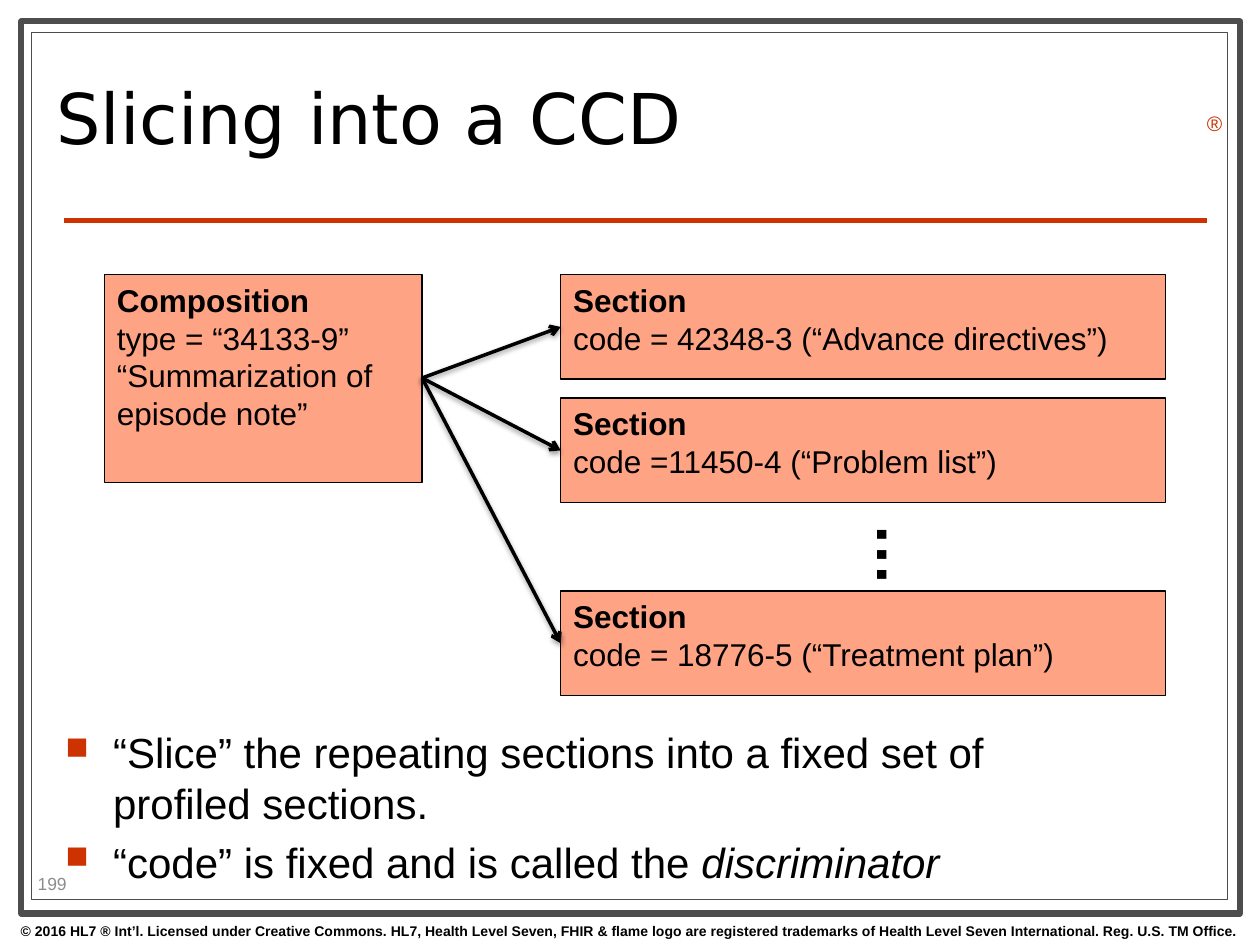
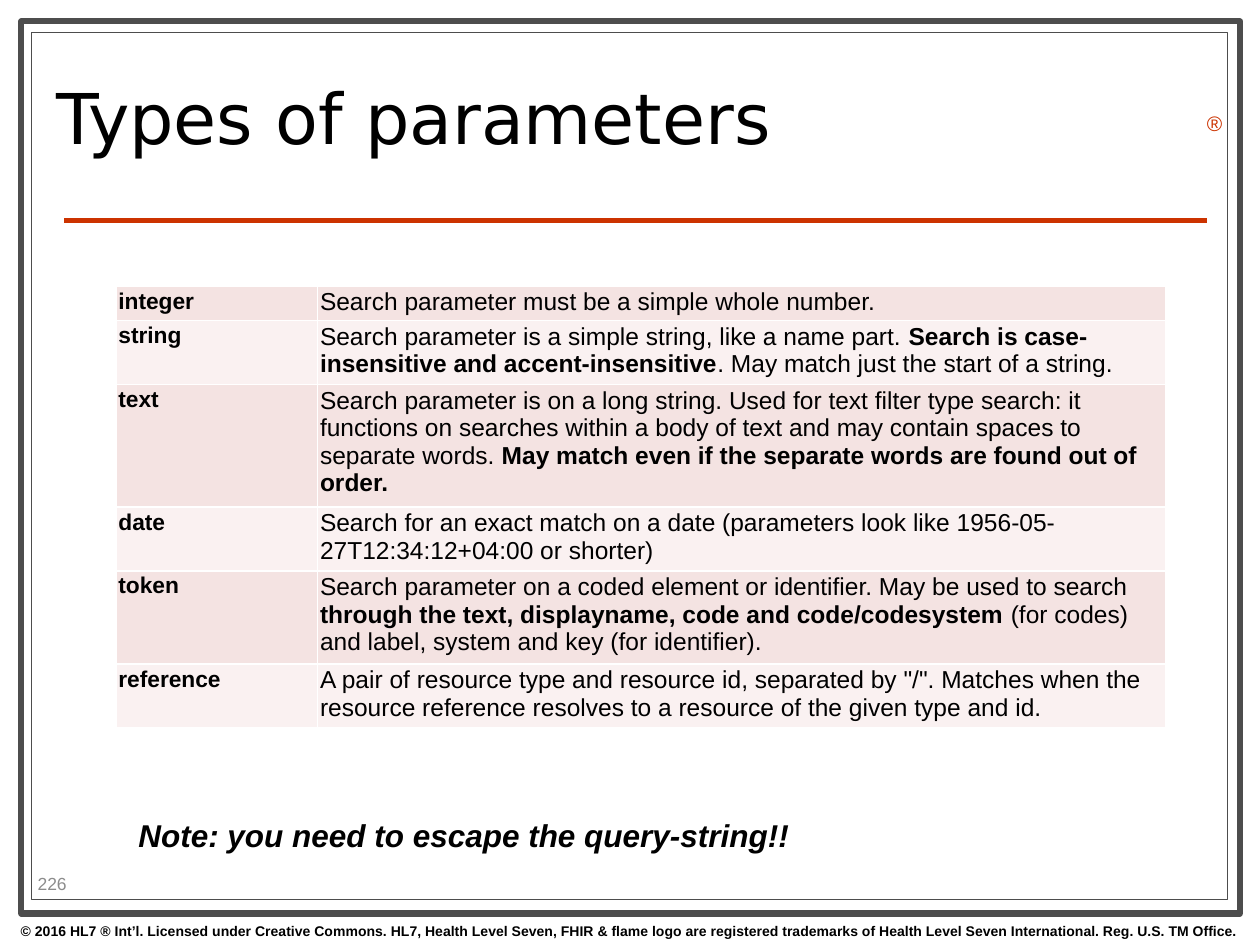
"""Builds two training slides: slicing a document and search parameter types."""
from lxml import etree
from pptx import Presentation
from pptx.dml.color import RGBColor
from pptx.enum.shapes import MSO_CONNECTOR as Connector, MSO_SHAPE as Shape
from pptx.enum.text import MSO_ANCHOR as Anchor, PP_ALIGN as Align
from pptx.oxml import parse_xml
from pptx.oxml.ns import nsdecls, qn
from pptx.util import Inches, Pt

COLOURS = {
    "paper": "FFFFFF", "ink": "000000", "frame": "4D4D4D", "accent": "CC3300",
    "number": "8C8C8C", "box": "FFA385", "band": "F4E3E2", "light_band": "FAF1F1",
}
COPYRIGHT = (
    "© 2016 HL7 ® Int’l. Licensed under Creative Commons. HL7, Health Level Seven, "
    "FHIR & flame logo are registered trademarks of Health Level Seven International. "
    "Reg. U.S. TM Office."
)
BOLD, ITALIC = {"bold": True}, {"italic": True}


def rgb(colour):
    return RGBColor.from_string(COLOURS[colour])


def apply(target, formats):
    for name, value in formats.items():
        setattr(target, name, value)


class Deck:
    """Holds the shared style and the slide being filled."""

    def __init__(self):
        self.presentation = Presentation()
        self.presentation.slide_width = Inches(10)
        self.presentation.slide_height = Inches(7.5)
        self.slide = None

    def start(self, title, number):
        self.slide = self.presentation.slides.add_slide(self.presentation.slide_layouts[6])
        self.box((0.17, 0.17, 9.67, 7.08), "paper", "frame", 3.5)
        self.box((0.25, 0.26, 9.49, 6.88), "paper", "frame", 0.75)
        self.line((0.51, 1.75), (9.58, 1.75), "accent", 3)
        self.text((0, 7.27, 10, 0.23), [COPYRIGHT], {"size": Pt(8), "bold": True},
                  paragraph={"alignment": Align.CENTER})
        self.text((9.48, 0.83, 0.31, 0.3), ["®"], {"size": Pt(12)}, "accent",
                  {"word_wrap": False})
        middle = {"vertical_anchor": Anchor.MIDDLE}
        self.text((0.35, 0.36, 7.17, 1.26), [title],
                  {"size": Pt(40), "name": "DejaVu Sans"}, frame=middle,
                  paragraph={"line_spacing": 0.8})
        self.text((0.2, 6.89, 0.79, 0.24), [str(number)], {"size": Pt(10)}, "number", middle)

    def fill_text(self, frame, paragraphs, font, colour="ink", paragraph=None):
        """Each paragraph is a string or a list of (text, emphasis) runs."""
        for index, content in enumerate(paragraphs):
            target = frame.paragraphs[0] if index == 0 else frame.add_paragraph()
            apply(target, paragraph or {})
            runs = [(content, {})] if isinstance(content, str) else content
            for words, emphasis in runs:
                run = target.add_run()
                run.text = words
                apply(run.font, {"name": "Arial", **font, **emphasis})
                run.font.color.rgb = rgb(colour)

    def text(self, place, paragraphs, font, colour="ink", frame=None, paragraph=None):
        holder = self.slide.shapes.add_textbox(*map(Inches, place)).text_frame
        apply(holder, {"word_wrap": True, **(frame or {})})
        self.fill_text(holder, paragraphs, font, colour, paragraph)
        return holder

    def box(self, place, fill, outline, width, paragraphs=()):
        shape = self.slide.shapes.add_shape(Shape.RECTANGLE, *map(Inches, place))
        shape.shadow.inherit = False
        shape.fill.solid()
        shape.fill.fore_color.rgb = rgb(fill)
        shape.line.color.rgb = rgb(outline)
        shape.line.width = Pt(width)
        apply(shape.text_frame, {"word_wrap": True, "vertical_anchor": Anchor.TOP})
        self.fill_text(shape.text_frame, paragraphs, {"size": Pt(18)},
                       paragraph={"alignment": Align.LEFT})

    def line(self, start, end, colour, width):
        connector = self.slide.shapes.add_connector(
            Connector.STRAIGHT, *map(Inches, (*start, *end)))
        connector.line.color.rgb = rgb(colour)
        connector.line.width = Pt(width)
        effects = etree.SubElement(connector._element.spPr, qn("a:effectLst"))
        return connector, effects

    def arrow(self, start, end):
        connector, effects = self.line(start, end, "ink", 2)
        etree.SubElement(connector.line._get_or_add_ln(), qn("a:tailEnd"), type="arrow")
        effects.append(parse_xml(
            f'<a:outerShdw {nsdecls("a")} blurRad="{Pt(3.1)}" dist="{Pt(1.6)}" '
            f'dir="5400000" rotWithShape="0"><a:srgbClr val="{COLOURS["ink"]}">'
            '<a:alpha val="38000"/></a:srgbClr></a:outerShdw>'))

    def bullets(self, place, paragraphs):
        holder = self.text(place, paragraphs, {"size": Pt(24)})
        for index, paragraph in enumerate(holder.paragraphs):
            properties = paragraph._p.get_or_add_pPr()
            properties.set("marL", str(Inches(0.38)))
            properties.set("indent", str(Inches(-0.38)))
            colour = etree.SubElement(properties, qn("a:buClr"))
            etree.SubElement(colour, qn("a:srgbClr"), val=COLOURS["accent"])
            etree.SubElement(properties, qn("a:buSzPct"), val="75000")
            etree.SubElement(properties, qn("a:buChar"), char="■")
            if index:
                paragraph.space_before = Pt(4.8)

    def table(self, place, widths, heights, rows):
        table = self.slide.shapes.add_table(
            len(rows), len(widths), *map(Inches, place)).table
        apply(table, {"first_row": False, "horz_banding": False})
        for column, width in zip(table.columns, widths):
            column.width = Inches(width)
        for index, (row, height, contents) in enumerate(zip(table.rows, heights, rows)):
            row.height = Inches(height)
            for cell, content, font in zip(row.cells, contents, (
                    {"size": Pt(13), "bold": True}, {"size": Pt(14), "bold": False})):
                self.cell(cell, content, font, "light_band" if index % 2 else "band")

    def cell(self, cell, content, font, fill):
        apply(cell, {f"margin_{side}": Inches(0.02)
                     for side in ("left", "right", "top", "bottom")})
        for side in "LRTB":
            cell._tc.get_or_add_tcPr().append(parse_xml(
                f'<a:ln{side} {nsdecls("a")} w="{Pt(1)}"><a:solidFill>'
                f'<a:srgbClr val="{COLOURS["paper"]}"/></a:solidFill></a:ln{side}>'))
        cell.fill.solid()
        cell.fill.fore_color.rgb = rgb(fill)
        self.fill_text(cell.text_frame, [content], font)


def slicing_slide(deck):
    deck.start("Slicing into a CCD", 199)
    deck.box((0.83, 2.18, 2.52, 1.65), "box", "ink", 0.75, [
        [("Composition", BOLD)], "type = “34133-9” “Summarization of", "episode note”"])
    sections = [
        (2.18, "code = 42348-3 (“Advance directives”)"),
        (3.16, "code =11450-4 (“Problem list”)"),
        (4.69, "code = 18776-5 (“Treatment plan”)"),
    ]
    left, height = 4.45, 0.83
    for top, code in sections:
        deck.box((left, top, 4.8, height), "box", "ink", 0.75, [[("Section", BOLD)], code])
        deck.arrow((3.35, 3), (left, top + height / 2))
    more = deck.text((6.7, 4.06, 0.81, 0.61), ["…"], {"size": Pt(36), "bold": True},
                     frame={"word_wrap": False})
    more._txBody.bodyPr.set("vert", "eaVert")
    deck.bullets((0.42, 5.72, 8.44, 0.94), [
        "“Slice” the repeating sections into a fixed set of profiled sections.",
        [("“code” is fixed and is called the ", {}), ("discriminator", ITALIC)],
    ])


def parameters_slide(deck):
    deck.start("Types of parameters", 226)
    parameters = [
        ("integer", "Search parameter must be a simple whole number."),
        ("string", [
            ("Search parameter is a simple string, like a name part. ", {}),
            ("Search is case-insensitive and accent-insensitive", BOLD),
            (". May match just the start of a string.", {})]),
        ("text", [
            ("Search parameter is on a long string. Used for text filter type search: it "
             "functions on searches within a body of text and may contain spaces to "
             "separate words. ", {}),
            ("May match even if the separate words are found out of order.", BOLD)]),
        ("date", "Search for an exact match on a date (parameters look like "
                 "1956-05-27T12:34:12+04:00 or shorter)"),
        ("token", [
            ("Search parameter on a coded element or identifier. May be used to search ", {}),
            ("through the text, displayname, code and code/codesystem", BOLD),
            (" (for codes) and label, system and key (for identifier).", {})]),
        ("reference", "A pair of resource type and resource id, separated by \"/\". Matches "
                      "when the resource reference resolves to a resource of the given type "
                      "and id."),
    ]
    line_counts = (1, 2, 4, 2, 3, 2)
    heights = [0.03 + 0.22 * count for count in line_counts]
    deck.table((0.92, 2.27, 8.33, sum(heights)), (1.6, 6.73), heights, parameters)
    deck.text((1, 6.43, 5.42, 0.4), ["Note: you need to escape the query-string!!"],
              {"size": Pt(18), **BOLD, **ITALIC}, frame={"word_wrap": False})


def main():
    deck = Deck()
    slicing_slide(deck)
    parameters_slide(deck)
    deck.presentation.save("out.pptx")


if __name__ == "__main__":
    main()
